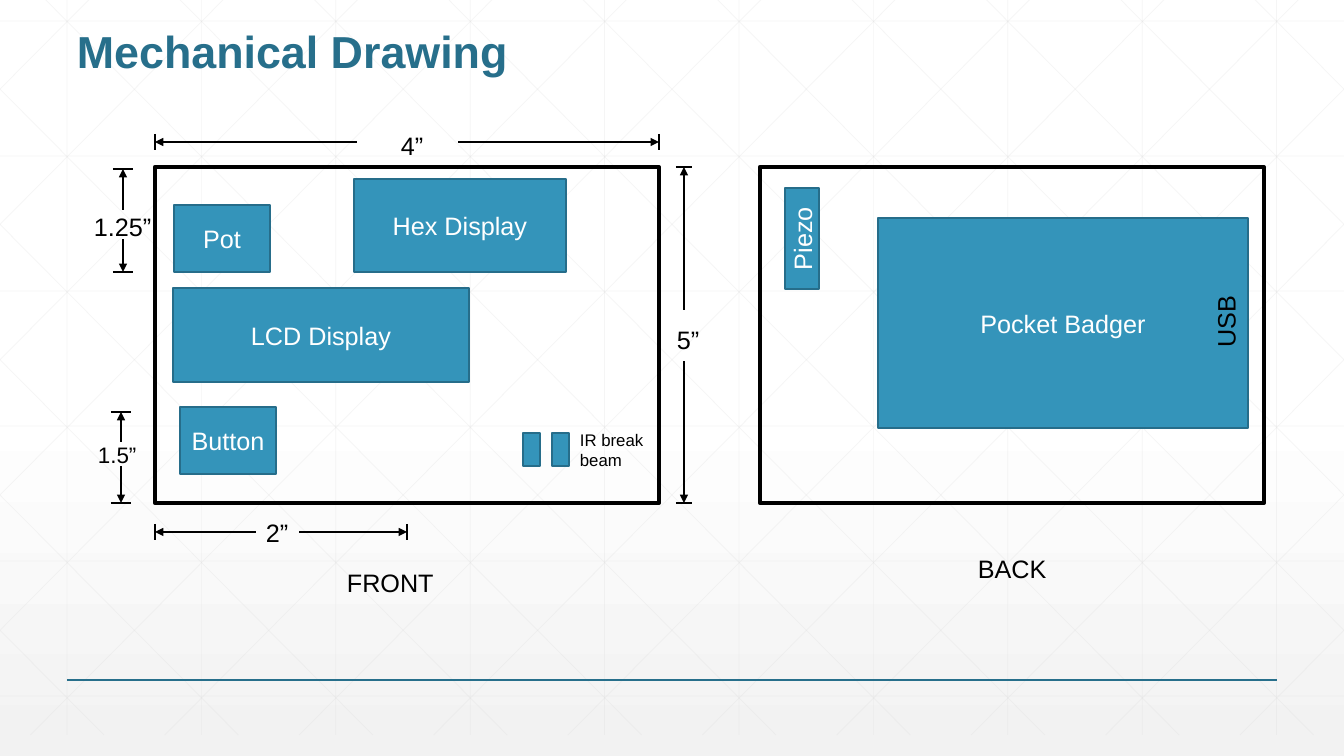
import copy

import pptx
import pptx.dml.color
import pptx.enum.shapes
import pptx.enum.text
import pptx.oxml
import pptx.oxml.ns
import pptx.util

RGBColor = pptx.dml.color.RGBColor
qn = pptx.oxml.ns.qn
SubElement = pptx.oxml.xmlchemy.OxmlElement

BLACK = RGBColor(0x00, 0x00, 0x00)
WHITE = RGBColor(0xFF, 0xFF, 0xFF)
PALE_GREY = RGBColor(0xF2, 0xF2, 0xF2)
GRID_GREY = RGBColor(0xD9, 0xD9, 0xD9)
TEAL = RGBColor(0x27, 0x6F, 0x8B)
PART_FILL = RGBColor(0x34, 0x94, 0xBA)
PART_EDGE = RGBColor(0x26, 0x6D, 0x8A)

WIDTH, HEIGHT = 1344, 756
EMU_PER_PX = 914400 / 100.8
FONT = "Arial"


def px(length):
    """Turn a length in px into EMU."""
    return pptx.util.Emu(round(length * EMU_PER_PX))


def within(box, part):
    """Move a part's rectangle into the box that holds it."""
    return box[0] + part[0], box[1] + part[1], part[2], part[3]


def add_run(shape, text, size, color, bold=False):
    """Write one run into the first paragraph of a shape."""
    run = shape.text_frame.paragraphs[0].add_run()
    run.text = text
    run.font.name = FONT
    run.font.size = pptx.util.Pt(size)
    run.font.bold = bold
    run.font.color.rgb = color


def add_text(slide, box, text, size=18, color=BLACK, bold=False, wrap=False):
    """Add a text box and return it."""
    text_box = slide.shapes.add_textbox(*map(px, box))
    text_box.text_frame.word_wrap = wrap
    add_run(text_box, text, size, color, bold)
    return text_box


def add_rectangle(slide, box, fill, edge, edge_width):
    """Add a plain rectangle, hollow when fill is None."""
    rectangle = slide.shapes.add_shape(
        pptx.enum.shapes.MSO_SHAPE.RECTANGLE, *map(px, box))
    rectangle.shadow.inherit = False
    if fill is None:
        rectangle.fill.background()
    else:
        rectangle.fill.solid()
        rectangle.fill.fore_color.rgb = fill
    rectangle.line.color.rgb = edge
    rectangle.line.width = pptx.util.Pt(edge_width)
    return rectangle


def add_part(slide, box, text="", upright=False):
    """Add a component block with its centred name."""
    part = add_rectangle(slide, box, PART_FILL, PART_EDGE, 1)
    if text:
        frame = part.text_frame
        frame.vertical_anchor = pptx.enum.text.MSO_ANCHOR.MIDDLE
        frame.paragraphs[0].alignment = pptx.enum.text.PP_ALIGN.CENTER
        add_run(part, text, 18, WHITE)
    if upright:
        part.element.find(".//" + qn("a:bodyPr")).set("vert", "vert270")


def add_line(slide, start, end, color=BLACK, width=1, arrow=False, opacity=100):
    """Add a straight line, with an optional arrowhead at its start."""
    line = slide.shapes.add_connector(
        pptx.enum.shapes.MSO_CONNECTOR.STRAIGHT, *map(px, (*start, *end)))
    line.line.color.rgb = color
    line.line.width = pptx.util.Pt(width)
    properties = line.element.find(qn("p:spPr"))
    outline = properties.find(qn("a:ln"))
    if opacity < 100:
        alpha = SubElement("a:alpha")
        alpha.set("val", str(opacity * 1000))
        outline.find(".//" + qn("a:srgbClr")).append(alpha)
    if arrow:
        head = SubElement("a:headEnd")
        head.set("type", "triangle")
        outline.append(head)
    properties.append(SubElement("a:effectLst"))


def add_dimension(slide, box, upright, level, span, gap, tick, label, text, size=18):
    """Add a measuring line with end ticks, two arrows and a label in the gap."""
    def point(along, across):
        x, y = (across, along) if upright else (along, across)
        return box[0] + x, box[1] + y

    for tip, tail in zip(span, gap):
        add_line(slide, point(tip, level), point(tail, level), arrow=True)
        add_line(slide, point(tip, level - tick), point(tip, level + tick))
    add_text(slide, within(box, label), text, size)


def add_background(slide):
    """Fill the background with a soft gradient and a faint lattice."""
    fill = slide.background.fill
    fill.gradient()
    fill.gradient_angle = 270
    stop_list = slide.element.find(".//" + qn("a:gsLst"))
    stop_list.insert(1, copy.deepcopy(stop_list[0]))
    stops = zip(fill.gradient_stops, (0, 0.53, 1), (WHITE, WHITE, PALE_GREY))
    for stop, position, color in stops:
        stop.position = position
        stop.color.rgb = color

    def grid_line(start, end):
        add_line(slide, start, end, GRID_GREY, 0.5, opacity=25)

    top, rise, run, step = -21, 756, 751, 134.4
    for column in range(10):
        x = 67 + column * step
        grid_line((x, top), (x, top + rise))
    for row in range(6):
        y = 21 + row * 135
        grid_line((0, y), (WIDTH, y))
    for diagonal in range(-5, 10):
        x = 25 + diagonal * step
        first = max(0, -x / run)
        last = min(1, (WIDTH - x) / run)
        ends = [(x + part * run, top + part * rise) for part in (first, last)]
        grid_line(*ends)
        grid_line(*[(WIDTH - across, down) for across, down in ends])


def add_front(slide, box):
    """Draw the front panel with its parts and dimensions."""
    add_rectangle(slide, box, None, BLACK, 3)
    for name, part in (("Button", (25, 240, 96, 67)),
                       ("LCD Display", (18, 121, 296, 94)),
                       ("Hex Display", (199, 12, 212, 93)),
                       ("Pot", (19, 38, 96, 67))):
        add_part(slide, within(box, part), name)
    for sensor in range(2):
        add_part(slide, within(box, (368 + 29 * sensor, 266, 17, 33)))
    add_text(slide, within(box, (415, 258, 98, 50)), "IR break beam", 12, wrap=True)

    for dimension in (
            (False, -25, (0, 504), (202, 303), 8, (236, -42, 43, 40), "4”"),
            (True, 529, (0, 336), (143, 194), 8, (512, 152, 43, 40), "5”"),
            (False, 365, (0, 252), (101, 144), 8, (101, 345, 43, 40), "2”"),
            (True, -32, (2, 105), (43, 72), 10, (-71, 39, 79, 40), "1.25”"),
            (True, -34, (245, 336), (275, 299), 10, (-67, 269, 59, 37), "1.5”", 16)):
        add_dimension(slide, box, *dimension)
    add_text(slide, within(box, (182, 395, 108, 40)), "FRONT")


def add_back(slide, box):
    """Draw the back panel with its parts."""
    add_rectangle(slide, box, None, BLACK, 3)
    add_part(slide, within(box, (25, 21, 34, 101)), "Piezo", upright=True)
    add_part(slide, within(box, (118, 51, 370, 210)), "Pocket Badger")
    port = add_text(slide, within(box, (429, 134, 73, 40)), "USB")
    port.rotation = 270
    add_text(slide, within(box, (208, 381, 90, 40)), "BACK")


def main():
    """Build the slide and save it."""
    presentation = pptx.Presentation()
    presentation.slide_width = px(WIDTH)
    presentation.slide_height = px(HEIGHT)
    slide = presentation.slides.add_slide(presentation.slide_layouts[6])
    add_background(slide)
    add_line(slide, (67, 680), (1277, 680), TEAL)
    title = add_text(slide, (67, 25, 1210, 101), "Mechanical Drawing",
                     32, TEAL, bold=True, wrap=True)
    title.text_frame.paragraphs[0].line_spacing = 0.9
    add_front(slide, (155, 167, 504, 336))
    add_back(slide, (760, 167, 504, 336))
    presentation.save("out.pptx")


if __name__ == "__main__":
    main()
